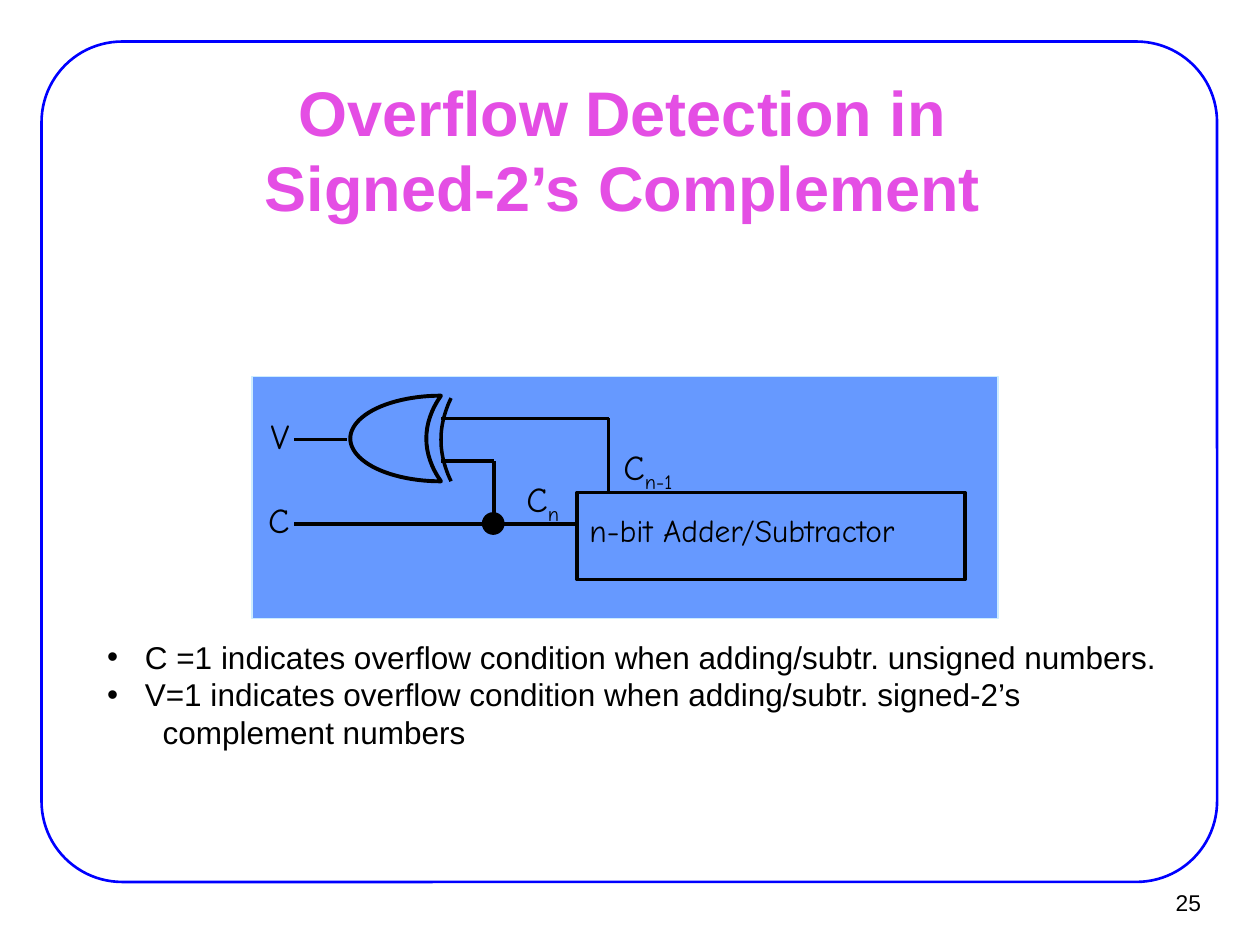
from dataclasses import dataclass

from lxml import etree
from pptx import Presentation
from pptx.dml.color import RGBColor
from pptx.enum.shapes import MSO_CONNECTOR, MSO_SHAPE
from pptx.enum.text import MSO_ANCHOR, MSO_AUTO_SIZE, PP_ALIGN
from pptx.oxml.ns import qn
from pptx.util import Inches, Pt

STRAIGHT = MSO_CONNECTOR.STRAIGHT
RECTANGLE, ROUNDED = MSO_SHAPE.RECTANGLE, MSO_SHAPE.ROUNDED_RECTANGLE
MOON, OVAL = MSO_SHAPE.MOON, MSO_SHAPE.OVAL
TOP, MIDDLE = MSO_ANCHOR.TOP, MSO_ANCHOR.MIDDLE
LEFT, CENTER, RIGHT = PP_ALIGN.LEFT, PP_ALIGN.CENTER, PP_ALIGN.RIGHT
NO_AUTOFIT = MSO_AUTO_SIZE.NONE

COLORS = {
    "frame": "0000FF",
    "title": "E44EE4",
    "panel": "6699FF",
    "panel_edge": "CCECFF",
    "ink": "000000",
}
TEXT_FONT, DIAGRAM_FONT = "Arial", "Comic Neue"


@dataclass
class Box:
    left: float
    top: float
    width: float
    height: float

    def lengths(self):
        return [Inches(value) for value in (self.left, self.top, self.width, self.height)]


@dataclass
class Outline:
    kind: int
    box: Box
    line: str
    weight: float
    fill: str | None = None
    adjustment: float | None = None


@dataclass
class Label:
    text: str
    box: Box
    size: float = 20
    subscript: str = ""
    font: str = DIAGRAM_FONT
    wrap: bool = False
    align: int = LEFT
    anchor: int = TOP


@dataclass
class ListLine:
    text: str
    margin: float
    bullet: bool = True


def color(name: str) -> RGBColor:
    return RGBColor.from_string(COLORS[name])


def style_line(shape, name: str, weight: float) -> None:
    shape.line.color.rgb = color(name)
    shape.line.width = Pt(weight)


def style_font(paragraph, name: str, size: float, ink: str = "ink") -> None:
    paragraph.font.name = name
    paragraph.font.size = Pt(size)
    paragraph.font.color.rgb = color(ink)


def place(shape, box: Box) -> None:
    shape.left, shape.top, shape.width, shape.height = box.lengths()


def draw_outline(slide, outline: Outline) -> None:
    shape = slide.shapes.add_shape(outline.kind, *outline.box.lengths())
    shape.shadow.inherit = False
    style_line(shape, outline.line, outline.weight)
    if outline.fill:
        shape.fill.solid()
        shape.fill.fore_color.rgb = color(outline.fill)
    else:
        shape.fill.background()
    if outline.adjustment is not None:
        shape.adjustments[0] = outline.adjustment


def draw_wire(slide, start: tuple[float, float], end: tuple[float, float]) -> None:
    wire = slide.shapes.add_connector(STRAIGHT, *map(Inches, start + end))
    style_line(wire, "ink", 2)
    etree.SubElement(wire._element.spPr, qn("a:effectLst"))


def draw_gate_arc(slide, box: Box, steps: int = 12) -> None:
    half = box.height / 2
    points = []
    for step in range(-steps, steps + 1):
        ratio = step / steps
        x = box.left + box.width * ratio**2
        y = box.top + half + half * ratio
        points.append((Inches(x), Inches(y)))
    builder = slide.shapes.build_freeform(*points[0])
    builder.add_line_segments(points[1:], close=False)
    arc = builder.convert_to_shape()
    arc.shadow.inherit = False
    arc.fill.background()
    style_line(arc, "ink", 2)


def draw_label(slide, label: Label) -> None:
    frame = slide.shapes.add_textbox(*label.box.lengths()).text_frame
    frame.word_wrap = label.wrap
    frame.vertical_anchor = label.anchor
    paragraph = frame.paragraphs[0]
    paragraph.alignment = label.align
    paragraph.add_run().text = label.text
    if label.subscript:
        run = paragraph.add_run()
        run.text = label.subscript
        run.font._element.set("baseline", "-25000")
    style_font(paragraph, label.font, label.size)


def fill_title(title, text: str, box: Box) -> None:
    place(title, box)
    frame = title.text_frame
    frame.text = text
    frame.auto_size = NO_AUTOFIT
    frame.vertical_anchor = MIDDLE
    paragraph = frame.paragraphs[0]
    paragraph.alignment = CENTER
    style_font(paragraph, TEXT_FONT, 36, "title")
    paragraph.font.bold = True


def fill_list(body, lines: list[ListLine], box: Box) -> None:
    place(body, box)
    frame = body.text_frame
    frame.text = "\n".join(line.text for line in lines)
    frame.auto_size = NO_AUTOFIT
    for paragraph, line in zip(frame.paragraphs, lines):
        paragraph.space_before = Pt(0)
        properties = paragraph._p.get_or_add_pPr()
        properties.set("marL", str(Inches(line.margin)))
        properties.set("indent", str(-Inches(line.margin) if line.bullet else 0))
        if line.bullet:
            etree.SubElement(properties, qn("a:buChar"), char="•")
        else:
            etree.SubElement(properties, qn("a:buNone"))
        style_font(paragraph, TEXT_FONT, 18)


OUTLINES = [
    Outline(ROUNDED, Box(0.33, 0.33, 9.33, 6.67), "frame", 1.5, adjustment=0.096),
    Outline(RECTANGLE, Box(2, 2.99, 5.92, 1.92), "panel_edge", 0.75, "panel"),
    Outline(RECTANGLE, Box(4.58, 3.91, 3.08, 0.69), "ink", 2),
    Outline(MOON, Box(2.78, 3.14, 0.72, 0.68), "ink", 2.25, adjustment=0.838),
    Outline(OVAL, Box(3.83, 4.07, 0.17, 0.17), "ink", 0.75, "ink"),
]
WIRES = [
    ((4.83, 3.32), (3.5, 3.32)),
    ((4.83, 3.91), (4.83, 3.32)),
    ((4.58, 4.16), (2.33, 4.16)),
    ((3.92, 4.16), (3.92, 3.66)),
    ((3.92, 3.66), (3.5, 3.66)),
    ((2.75, 3.49), (2.33, 3.49)),
]
LABELS = [
    Label("n-bit Adder/Subtractor", Box(4.58, 4.01, 3.17, 0.45), 18, wrap=True),
    Label("V", Box(2.05, 3.24, 0.38, 0.43)),
    Label("C", Box(2.03, 3.91, 0.37, 0.43)),
    Label("C", Box(4.08, 3.74, 0.46, 0.49), subscript="n"),
    Label("C", Box(4.85, 3.49, 0.66, 0.43), subscript="n-1"),
    Label("25", Box(9.02, 6.98, 0.61, 0.37), 13, font=TEXT_FONT, align=RIGHT, anchor=MIDDLE),
]
LIST_LINES = [
    ListLine("C =1 indicates overflow condition when adding/subtr. unsigned numbers.", 0.3),
    ListLine("V=1 indicates overflow condition when adding/subtr. signed-2’s", 0.3),
    ListLine("complement numbers", 0.44, bullet=False),
]


def main() -> None:
    presentation = Presentation()
    presentation.slide_width, presentation.slide_height = Inches(10), Inches(7.5)
    slide = presentation.slides.add_slide(presentation.slide_layouts[1])
    fill_title(
        slide.shapes.title,
        "Overflow Detection in \vSigned-2’s Complement ",
        Box(0.76, 0.66, 8.5, 1.04),
    )
    fill_list(slide.placeholders[1], LIST_LINES, Box(0.75, 5.01, 9.17, 1))
    for outline in OUTLINES:
        draw_outline(slide, outline)
    draw_gate_arc(slide, Box(3.5, 3.16, 0.08, 0.66))
    for start, end in WIRES:
        draw_wire(slide, start, end)
    for label in LABELS:
        draw_label(slide, label)
    presentation.save("out.pptx")


if __name__ == "__main__":
    main()
